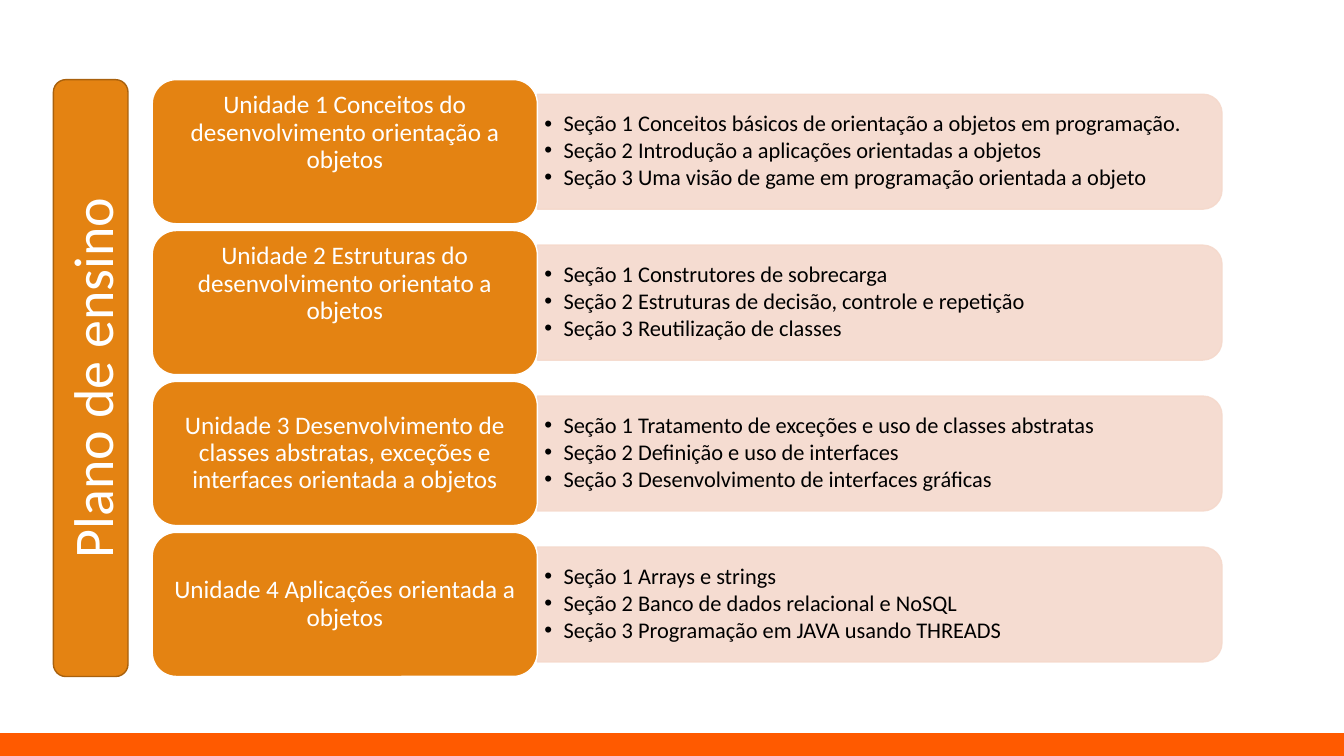
"""Build a teaching plan slide: four units, each with its three sections."""
from lxml import etree
from pptx import Presentation
from pptx import util as u
from pptx.dml.color import RGBColor
from pptx.enum import shapes, text
from pptx.oxml.ns import qn

COLORS = {"orange": "E48312", "edge": "A9610D", "panel": "F5D9CC",
          "band": "FF5A00", "white": "FFFFFF", "black": "000000"}
UNITS = [
    ("Unidade 1 Conceitos do desenvolvimento orientação a objetos", 0.41,
     ["Seção 1 Conceitos básicos de orientação a objetos em programação.",
      "Seção 2 Introdução a aplicações orientadas a objetos",
      "Seção 3 Uma visão de game em programação orientada a objeto"]),
    ("Unidade 2 Estruturas do desenvolvimento orientato a objetos", 0.41,
     ["Seção 1 Construtores de sobrecarga",
      "Seção 2 Estruturas de decisão, controle e repetição",
      "Seção 3 Reutilização de classes"]),
    ("Unidade 3 Desenvolvimento de classes abstratas, exceções e interfaces orientada a objetos", 0.04,
     ["Seção 1 Tratamento de exceções e uso de classes abstratas",
      "Seção 2 Definição e uso de interfaces",
      "Seção 3 Desenvolvimento de interfaces gráficas"]),
    ("Unidade 4 Aplicações orientada a objetos", 0.04,
     ["Seção 1 Arrays e strings",
      "Seção 2 Banco de dados relacional e NoSQL",
      "Seção 3 Programação em JAVA usando THREADS"]),
]
WIDTH, HEIGHT = 13.33, 7.5
TOP, CARD_LEFT, CARD_WIDTH, CARD_HEIGHT = 0.79, 1.51, 3.82, 1.43
ROW_STEP = CARD_HEIGHT * 1.047
PANEL_LEFT, PANEL_WIDTH, PANEL_HEIGHT = CARD_LEFT + CARD_WIDTH, 6.79, 1.14
BAR_LEFT, BAR_WIDTH = 0.53, 0.74
BAR_HEIGHT = 3 * ROW_STEP + CARD_HEIGHT

deck = Presentation()
deck.slide_width, deck.slide_height = u.Inches(WIDTH), u.Inches(HEIGHT)
slide = deck.slides.add_slide(deck.slide_layouts[5])


def add_block(kind, left, top, width, height, fill, line):
    block = slide.shapes.add_shape(kind, *map(u.Inches, (left, top, width, height)))
    block.shadow.inherit = False
    block.fill.solid()
    block.fill.fore_color.rgb = RGBColor.from_string(COLORS[fill])
    block.line.color.rgb = RGBColor.from_string(COLORS[line])
    block.line.width = u.Pt(1)
    return block


def format_text(box, content, size, color, align, margins, line_spacing=0.9, after=0):
    frame = box.text_frame
    frame.text = content
    frame.word_wrap = True
    frame.auto_size = text.MSO_AUTO_SIZE.NONE
    frame.vertical_anchor = text.MSO_ANCHOR.MIDDLE
    (frame.margin_left, frame.margin_top,
     frame.margin_right, frame.margin_bottom) = map(u.Inches, margins)
    for para in frame.paragraphs:
        para.alignment = align
        para.line_spacing = line_spacing
        para.space_before, para.space_after = u.Pt(0), u.Pt(after)
        for span in para.runs:
            span.font.size = u.Pt(size)
            span.font.name = "Calibri"
            span.font.color.rgb = RGBColor.from_string(COLORS[color])


add_block(shapes.MSO_SHAPE.RECTANGLE, 0, HEIGHT * 0.97, WIDTH, HEIGHT * 0.03, "band", "band")

for row, (unit, bottom_margin, sections) in enumerate(UNITS):
    card_top = TOP + row * ROW_STEP
    middle = card_top + CARD_HEIGHT / 2

    panel = add_block(shapes.MSO_SHAPE.ROUND_2_SAME_RECTANGLE,
                      PANEL_LEFT + (PANEL_WIDTH - PANEL_HEIGHT) / 2, middle - PANEL_WIDTH / 2,
                      PANEL_HEIGHT, PANEL_WIDTH, "panel", "panel")
    panel.rotation = 90
    for color in panel._element.spPr.iter(qn("a:srgbClr")):
        etree.SubElement(color, qn("a:alpha"), val="90000")

    box = slide.shapes.add_textbox(*map(u.Inches, (PANEL_LEFT, middle - 0.515, 6.73, 1.03)))
    format_text(box, "\n".join(sections), 16, "black", text.PP_ALIGN.LEFT,
                (0.07, 0.03, 0.07, 0.03), after=2)
    for para in box.text_frame.paragraphs:
        settings = para._p.get_or_add_pPr()
        settings.set("marL", str(u.Inches(0.19)))
        settings.set("indent", str(-u.Inches(0.19)))
        etree.SubElement(settings, qn("a:buFont"), typeface="Arial")
        etree.SubElement(settings, qn("a:buChar"), char="•")

    card = add_block(shapes.MSO_SHAPE.ROUNDED_RECTANGLE, CARD_LEFT, card_top,
                     CARD_WIDTH, CARD_HEIGHT, "orange", "white")
    format_text(card, unit, 18, "white", text.PP_ALIGN.CENTER,
                (0.07, 0.04, 0.07, bottom_margin))

bar = add_block(shapes.MSO_SHAPE.ROUNDED_RECTANGLE, BAR_LEFT, TOP,
                BAR_WIDTH, BAR_HEIGHT, "orange", "edge")

title = slide.shapes.title
title.left = u.Inches(BAR_LEFT + (BAR_WIDTH - BAR_HEIGHT) / 2)
title.top = u.Inches(TOP + (BAR_HEIGHT - BAR_WIDTH) / 2)
title.width, title.height = bar.height, bar.width
title.rotation = 270
format_text(title, "Plano de ensino", 40, "white", text.PP_ALIGN.CENTER,
            (0.1, 0.05, 0.1, 0.05), line_spacing=1.0)
bar._element.addnext(title._element)

deck.save("out.pptx")
